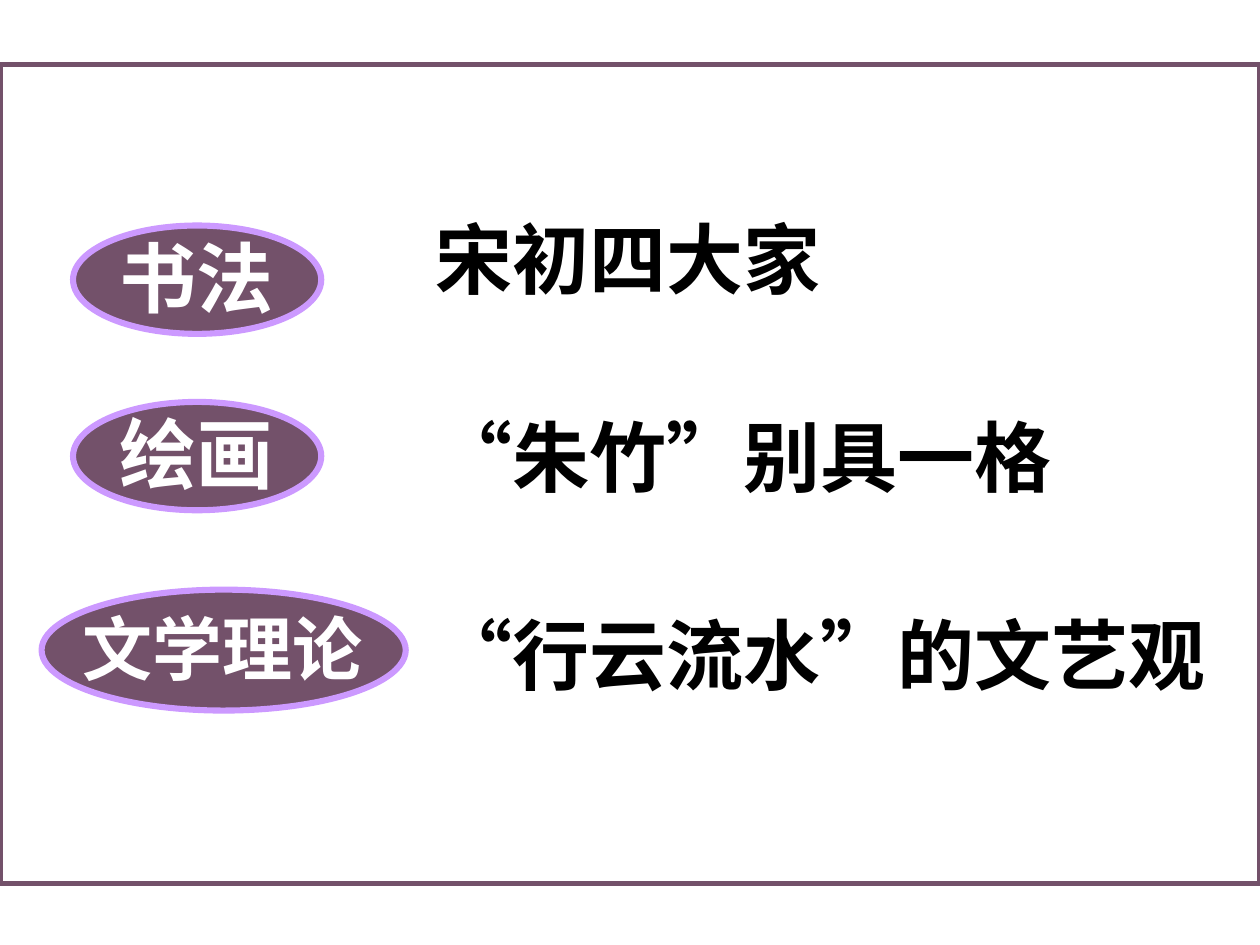
"""Builds a slide on Song dynasty calligraphy, painting and literary theory."""
from pptx import Presentation
from pptx.dml.color import RGBColor
from pptx.enum import shapes, text
from pptx.util import Inches, Pt

PLUM = RGBColor(0x73, 0x51, 0x6A)
LILAC = RGBColor(0xCC, 0x99, 0xFF)
WHITE = RGBColor(0xFF, 0xFF, 0xFF)
BLACK = RGBColor(0x00, 0x00, 0x00)


def add_outlined(parent, preset, box, fill, line, width):
    shape = parent.add_shape(preset, *map(Inches, box))
    shape.shadow.inherit = False
    shape.fill.solid()
    shape.fill.fore_color.rgb = fill
    shape.line.color.rgb = line
    shape.line.width = Pt(width)


def add_label(parent, wording, box, size, color, wrap=True):
    frame = parent.add_textbox(*map(Inches, box)).text_frame
    frame.word_wrap = wrap
    frame.auto_size = text.MSO_AUTO_SIZE.SHAPE_TO_FIT_TEXT
    run = frame.paragraphs[0].add_run()
    run.text = wording
    run.font.name = "Arial"
    run.font.size = Pt(size)
    run.font.bold = True
    run.font.color.rgb = color


presentation = Presentation()
presentation.slide_width = Inches(10)
presentation.slide_height = Inches(7.5)
slide = presentation.slides.add_slide(presentation.slide_layouts[6])

add_outlined(slide.shapes, shapes.MSO_SHAPE.RECTANGLE, (0, 0.51, 10, 6.5), WHITE, PLUM, 3)

topics = [
    ("书法", (0.58, 1.79, 1.97, 0.86), (0.85, 1.78, 2.12, 0.84), 44),
    ("绘画", (0.58, 3.19, 1.97, 0.86), (0.85, 3.18, 2.12, 0.84), 44),
    ("文学理论", (0.33, 4.68, 2.89, 0.96), (0.56, 4.76, 2.53, 0.77), 40),
]
for topic, oval_box, label_box, size in topics:
    group = slide.shapes.add_group_shape()
    add_outlined(group.shapes, shapes.MSO_SHAPE.OVAL, oval_box, PLUM, LILAC, 3.5)
    add_label(group.shapes, topic, label_box, size, WHITE)

descriptions = [
    ("宋初四大家", 1.63, 3.26, False),
    ("“朱竹”别具一格", 3.2, 5.09, False),
    ("“行云流水”的文艺观", 4.77, 7.01, True),
]
for description, top, width, wrap in descriptions:
    add_label(slide.shapes, description, (3.36, top, width, 0.84), 44, BLACK, wrap)

presentation.save("out.pptx")
